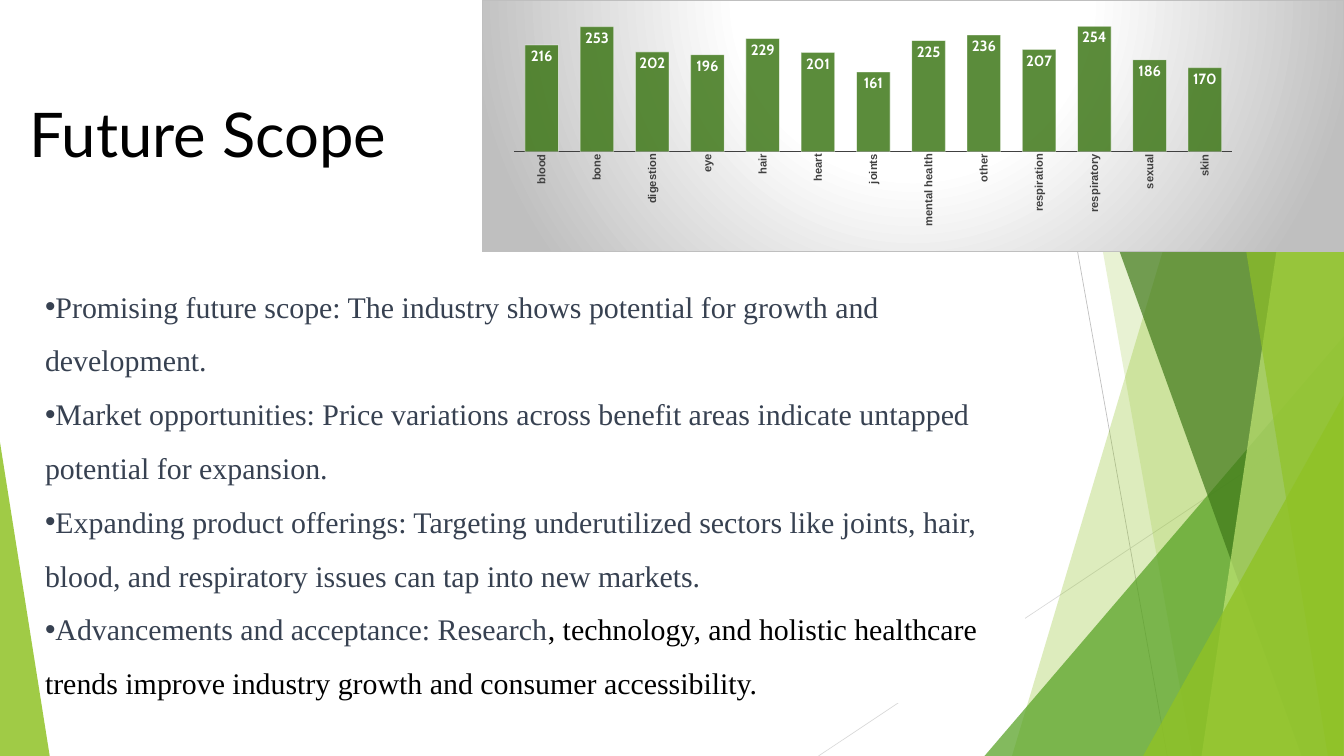
from lxml import etree
from pptx import Presentation
from pptx import util as u
from pptx.chart.data import CategoryChartData
from pptx.dml.color import RGBColor
from pptx.enum import chart as ch, shapes, text
from pptx.oxml import parse_xml
from pptx.oxml.ns import nsdecls, qn

W, H = 20, 11.25
GREEN = "90C226"
SLATE = "374151"

# Content
TITLE = "Future Scope"
BULLETS = [
    [("Promising future scope: The industry shows potential for growth and development.", SLATE)],
    [("Market opportunities: Price variations across benefit areas indicate untapped "
      "potential for expansion.", SLATE)],
    [("Expanding product offerings: Targeting underutilized sectors like joints, hair, blood, "
      "and respiratory issues can tap into new markets.", SLATE)],
    [("Advancements and acceptance: Research", SLATE),
     (", technology, and holistic healthcare trends improve industry growth and consumer "
      "accessibility.", "000000")],
]
COUNTS = {
    "blood": 216, "bone": 253, "digestion": 202, "eye": 196, "hair": 229, "heart": 201,
    "joints": 161, "mental health": 225, "other": 236, "respiration": 207,
    "respiratory": 254, "sexual": 186, "skin": 170,
}

# Background decoration, back to front
LINES = [((15.37, 0), (17.37, H), "BFBFBF"), ((W, 6.04), (12.18, H), "D9D9D9")]
# bands: x at top, x at bottom; triangles: left, top, width, apex (0 left, 1 right)
FACETS = [
    ("band", (18.42, 15.06), GREEN, 30),
    ("band", (15.75, 17.74), GREEN, 20),
    ("triangle", (14.65, 5, 5.35, 1), "54A021", 72),
    ("band", (15.31, 19.37), "3F7819", 70),
    ("band", (19.55, 17.88), "C0E474", 70),
    ("band", (17.94, 19.76), GREEN, 65),
    ("triangle", (17.01, 5.89, 2.98, 1), GREEN, 80),
    ("triangle", (0, 6.58, 0.74, 0), GREEN, 85),
]


def rgb(c):
    return RGBColor.from_string(c)


def set_alpha(fill_xml, percent):
    for clr in fill_xml.iter(qn("a:srgbClr")):
        etree.SubElement(clr, qn("a:alpha")).set("val", str(percent * 1000))


def paint(sp, c, alpha=None):
    sp.shadow.inherit = False
    sp.fill.solid()
    sp.fill.fore_color.rgb = rgb(c)
    sp.line.fill.background()
    if alpha:
        set_alpha(sp._element.spPr.find(qn("a:solidFill")), alpha)


def style(font, size, c, name, bold=None):
    font.size, font.name, font.bold = u.Pt(size), name, bold
    font.color.rgb = rgb(c)


def add_lines(slide):
    for start, end, c in LINES:
        ln = slide.shapes.add_connector(
            shapes.MSO_CONNECTOR.STRAIGHT, *[u.Inches(v) for v in start + end])
        ln.line.color.rgb = rgb(c)
        ln.line.width = u.Pt(0.75)
        etree.SubElement(ln._element.spPr, qn("a:effectLst"))


def add_facets(slide):
    for kind, geometry, c, alpha in FACETS:
        if kind == "band":
            top, bottom = geometry
            fb = slide.shapes.build_freeform(u.Inches(top), 0)
            fb.add_line_segments(
                [(u.Inches(x), u.Inches(y)) for x, y in ((W, 0), (W, H), (bottom, H))])
            sp = fb.convert_to_shape()
        else:
            x, y, w, apex = geometry
            sp = slide.shapes.add_shape(
                shapes.MSO_SHAPE.ISOSCELES_TRIANGLE,
                *[u.Inches(v) for v in (x, y, w, H - y)])
            sp.adjustments[0] = apex
        paint(sp, c, alpha)


def add_title(slide):
    tb = slide.shapes.add_textbox(*[u.Inches(v) for v in (0.34, 1.38, 7.33, 1.21)])
    tf = tb.text_frame
    tf.word_wrap = True
    p = tf.paragraphs[0]
    p.text = TITLE
    style(p.font, 66, "000000", "Lato")


def add_bullets(slide):
    sp = slide.shapes.add_shape(
        shapes.MSO_SHAPE.RECTANGLE, *[u.Inches(v) for v in (0.67, 3.46, 14.58, 7)])
    paint(sp, "FFFFFF")
    tf = sp.text_frame
    tf.word_wrap = True
    tf.vertical_anchor = text.MSO_ANCHOR.MIDDLE
    tf.margin_left = tf.margin_right = tf.margin_bottom = 0
    tf.margin_top = u.Inches(0.53)
    for i, runs in enumerate(BULLETS):
        p = tf.add_paragraph() if i else tf.paragraphs[0]
        p.alignment = text.PP_ALIGN.LEFT
        p.line_spacing = 1.5
        p_pr = p._p.get_or_add_pPr()
        etree.SubElement(p_pr, qn("a:buFont")).set("typeface", "Arial")
        etree.SubElement(p_pr, qn("a:buChar")).set("char", "•")
        for words, c in runs:
            r = p.add_run()
            r.text = words
            style(r.font, 32, c, "Times New Roman")


def add_chart(slide):
    data = CategoryChartData(number_format="0")
    data.categories = list(COUNTS)
    data.add_series("Series 1", list(COUNTS.values()))
    chart = slide.shapes.add_chart(
        ch.XL_CHART_TYPE.COLUMN_CLUSTERED,
        *[u.Inches(v) for v in (7.17, 0, 12.83, 3.75)], data).chart
    chart.has_title = chart.has_legend = False
    style(chart.font, 10, "000000", "Cabin")

    # Axes, with category names reading upwards
    cat, val = chart.category_axis, chart.value_axis
    cat.major_tick_mark = ch.XL_TICK_MARK.NONE
    cat.format.line.color.rgb = rgb("404040")
    cat.format.line.width = u.Pt(1.5)
    style(cat.tick_labels.font, 12, "404040", "Arial", True)
    body = cat._element.find(qn("c:txPr")).find(qn("a:bodyPr"))
    body.set("rot", "-5400000")
    body.set("vert", "horz")
    val.visible = val.has_major_gridlines = False
    val.minimum_scale, val.maximum_scale = 0, 300

    # Columns and their values
    plot = chart.plots[0]
    plot.gap_width, plot.vary_by_categories = 65, False
    fmt = plot.series[0].format
    fmt.fill.solid()
    fmt.fill.fore_color.rgb = rgb("3F7819")
    fmt.line.color.rgb = rgb("FFFFFF")
    fmt.line.width = u.Pt(0.75)
    sp_pr = plot.series[0]._element.find(qn("c:spPr"))
    set_alpha(sp_pr.find(qn("a:solidFill")), 85)
    set_alpha(sp_pr.find(qn("a:ln")), 50)
    labels = plot.series[0].data_labels
    labels.show_value = True
    labels.position = ch.XL_LABEL_POSITION.INSIDE_END
    labels.number_format, labels.number_format_is_linked = "0", False
    style(labels.font, 16, "FFFFFF", "Cabin", True)

    # Plot position
    area = chart.element.find(".//" + qn("c:plotArea"))
    for old in area.findall(qn("c:layout")):
        area.remove(old)
    box = {"x": 0.037, "y": 0.013, "w": 0.834, "h": 0.589}
    modes = "".join(f'<c:{k}Mode val="edge"/>' for k in "xy")
    sizes = "".join(f'<c:{k} val="{v}"/>' for k, v in box.items())
    area.insert(0, parse_xml(
        f'<c:layout {nsdecls("c")}><c:manualLayout><c:layoutTarget val="inner"/>'
        f'{modes}{sizes}</c:manualLayout></c:layout>'))

    # Radial backdrop and border
    stops = "".join(f'<a:gs pos="{pos * 1000}"><a:srgbClr val="{c}"/></a:gs>'
                    for pos, c in ((0, "FFFFFF"), (39, "FFFFFF"), (100, "BFBFBF")))
    chart.element.find(qn("c:txPr")).addprevious(parse_xml(
        f'<c:spPr {nsdecls("c", "a")}><a:gradFill><a:gsLst>{stops}</a:gsLst>'
        '<a:path path="circle"><a:fillToRect l="50000" t="-80000" r="50000" b="180000"/></a:path>'
        '</a:gradFill><a:ln w="9525"><a:solidFill><a:srgbClr val="BFBFBF"/></a:solidFill></a:ln>'
        '</c:spPr>'))


def main():
    prs = Presentation()
    prs.slide_width, prs.slide_height = u.Inches(W), u.Inches(H)
    slide = prs.slides.add_slide(prs.slide_layouts[6])
    add_lines(slide)
    add_facets(slide)
    add_title(slide)
    add_bullets(slide)
    add_chart(slide)
    prs.save("out.pptx")


if __name__ == "__main__":
    main()
